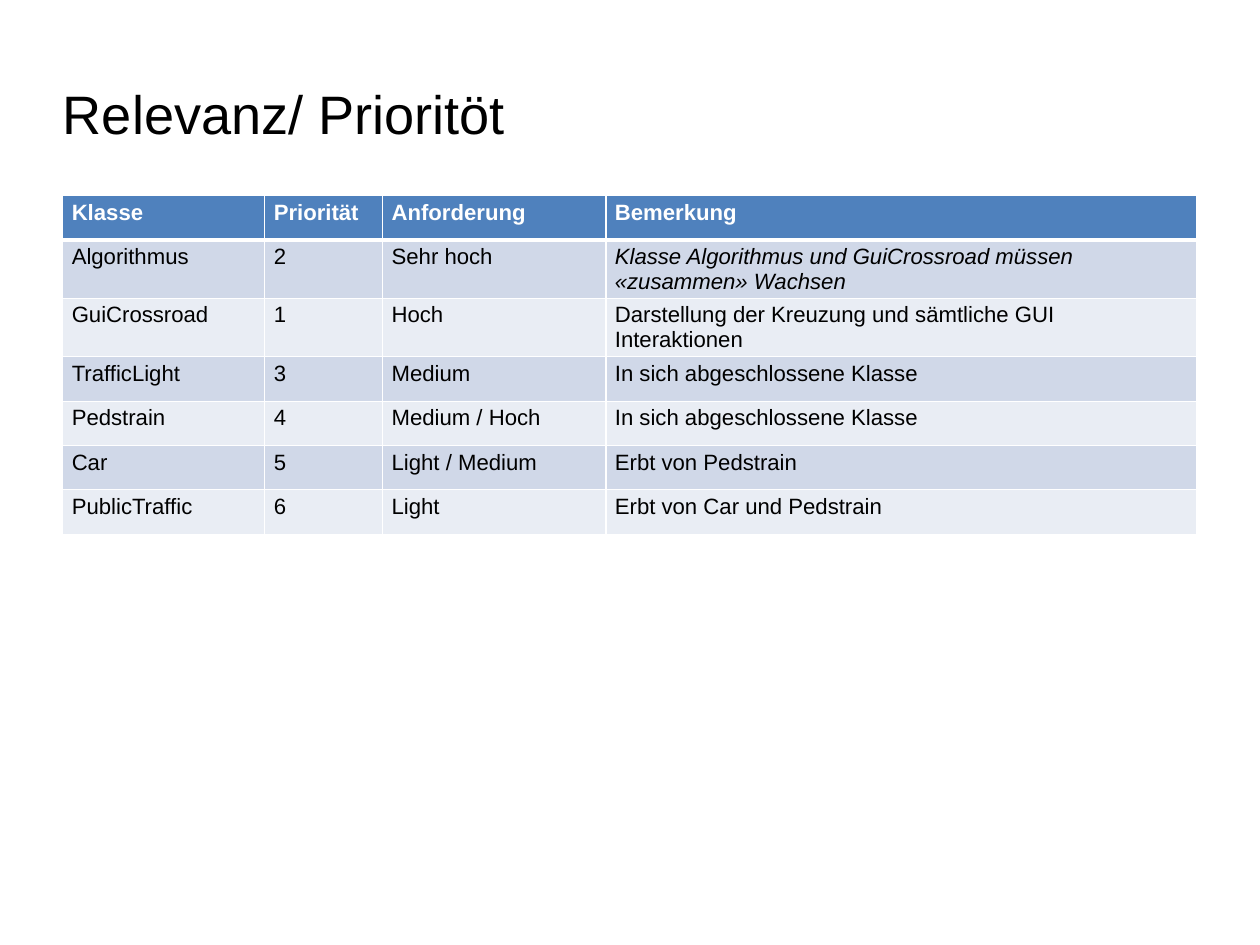
from lxml import etree
from pptx import Presentation
from pptx import util as u
from pptx.dml.color import RGBColor
from pptx.enum import text
from pptx.oxml.ns import qn

WHITE = RGBColor(0xFF, 0xFF, 0xFF)
BLACK = RGBColor(0x00, 0x00, 0x00)
HEADER = RGBColor(0x4F, 0x81, 0xBD)
BANDS = (RGBColor(0xE9, 0xED, 0xF4), RGBColor(0xD0, 0xD8, 0xE8))

COLUMN_WIDTHS = (2.28, 1.33, 2.52, 6.67)
ROW_HEIGHT = 0.5
ROWS = (
    ("Klasse", "Priorität", "Anforderung", "Bemerkung"),
    ("Algorithmus", "2", "Sehr hoch",
     "Klasse Algorithmus und GuiCrossroad müssen «zusammen» Wachsen"),
    ("GuiCrossroad", "1", "Hoch",
     "Darstellung der Kreuzung und sämtliche GUI Interaktionen"),
    ("TrafficLight", "3", "Medium", "In sich abgeschlossene Klasse"),
    ("Pedstrain", "4", "Medium / Hoch", "In sich abgeschlossene Klasse"),
    ("Car", "5", "Light / Medium", "Erbt von Pedstrain"),
    ("PublicTraffic", "6", "Light", "Erbt von Car und Pedstrain"),
)
ITALIC_CELL = (1, 3)


def write(p, words, color, **formats):
    r = p.add_run()
    r.text = words
    r.font.color.rgb = color
    for name, value in {"name": "Arial", **formats}.items():
        setattr(r.font, name, value)


def set_borders(cell, widths):
    tcPr = cell._tc.get_or_add_tcPr()
    for i, (side, width) in enumerate(widths.items()):
        ln = etree.Element(qn(f"a:ln{side}"), w=str(u.Pt(width)))
        fill = etree.SubElement(ln, qn("a:solidFill"))
        etree.SubElement(fill, qn("a:srgbClr"), val=str(WHITE))
        tcPr.insert(i, ln)


def add_title(s, left, top, width, height):
    sp = s.shapes.add_textbox(*map(u.Inches, (left, top, width, height)))
    tf = sp.text_frame
    formats = {
        "word_wrap": True,
        "vertical_anchor": text.MSO_ANCHOR.MIDDLE,
        "margin_left": 0, "margin_top": 0,
        "margin_right": 0, "margin_bottom": 0,
    }
    for name, value in formats.items():
        setattr(tf, name, value)
    p = tf.paragraphs[0]
    p.line_spacing = 0.9
    write(p, "Relevanz/ Prioritöt", BLACK, size=u.Pt(44))


def add_priorities(s, left, top, width):
    box = (left, top, width, ROW_HEIGHT * len(ROWS))
    table = s.shapes.add_table(
        len(ROWS), len(COLUMN_WIDTHS), *map(u.Inches, box)).table
    for column, column_width in zip(table.columns, COLUMN_WIDTHS):
        column.width = u.Inches(column_width * width / sum(COLUMN_WIDTHS))
    for i, row in enumerate(ROWS):
        table.rows[i].height = u.Inches(ROW_HEIGHT)
        header = i == 0
        for j, words in enumerate(row):
            cell = table.cell(i, j)
            cell.fill.solid()
            cell.fill.fore_color.rgb = HEADER if header else BANDS[i % 2]
            set_borders(cell, {"L": 1, "R": 1, "T": 3 if i == 1 else 1,
                               "B": 3 if header else 1})
            write(cell.text_frame.paragraphs[0], words,
                  WHITE if header else BLACK, size=u.Pt(18),
                  bold=header, italic=(i, j) == ITALIC_CELL)


def main():
    prs = Presentation()
    prs.slide_width, prs.slide_height = u.Inches(14.22), u.Inches(10.67)
    s = prs.slides.add_slide(prs.slide_layouts[6])
    add_priorities(s, 0.71, 2.21, 12.8)
    add_title(s, 0.71, 0.43, 12.8, 1.78)
    prs.save("out.pptx")


if __name__ == "__main__":
    main()
